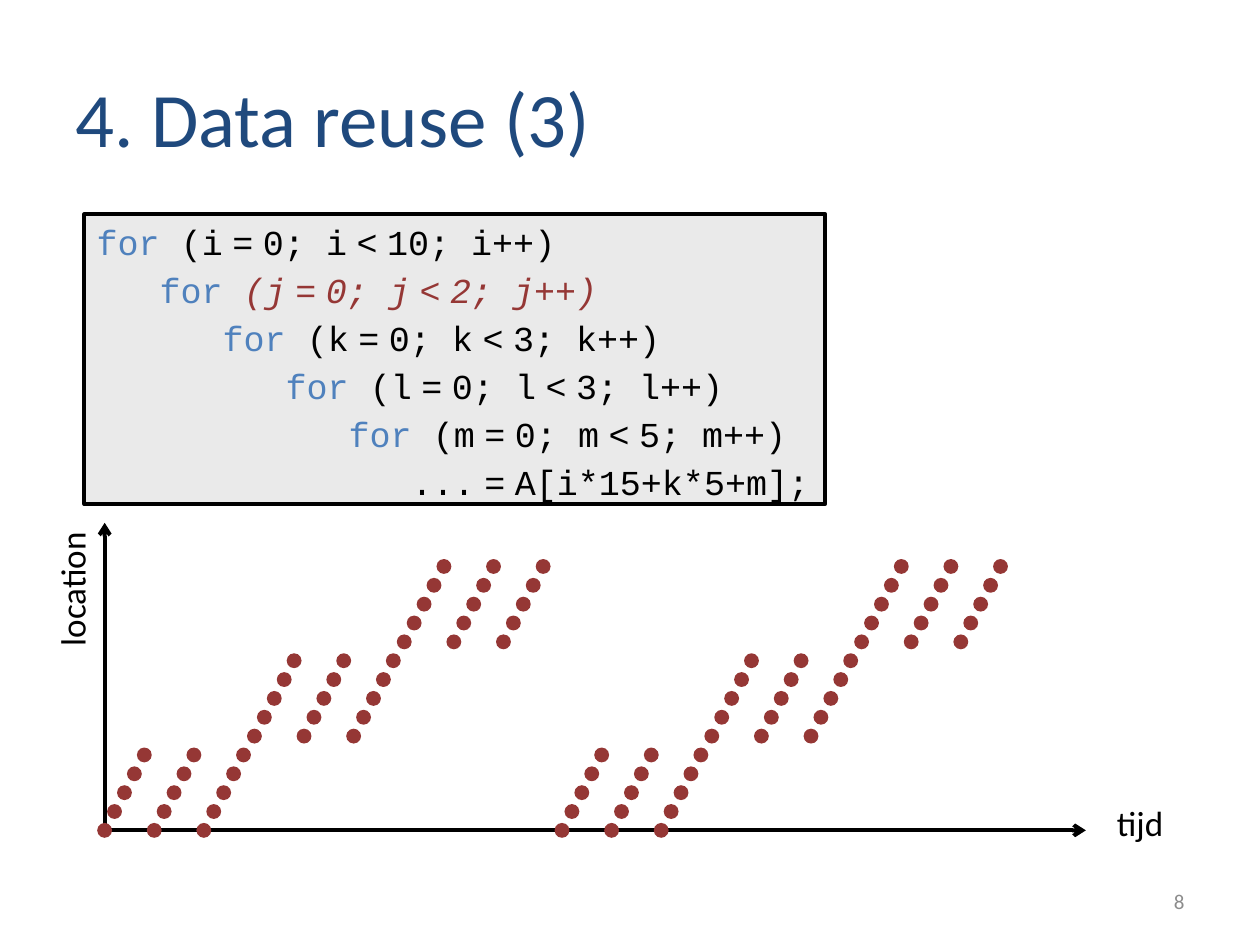
from lxml import etree
from pptx import Presentation
from pptx import util as u
from pptx.dml import color
from pptx.enum import shapes, text
from pptx.oxml import ns

BLACK, RED, BLUE = "000000", "953735", "4F81BD"


def rgb(hex_string):
    return color.RGBColor.from_string(hex_string)


def add_text(paragraph, content, size=20, font="Calibri", colour=BLACK, italic=False):
    run = paragraph.add_run()
    run.text = content
    run.font.size = u.Pt(size)
    run.font.name = font
    run.font.color.rgb = rgb(colour)
    run.font.italic = italic


presentation = Presentation()
presentation.slide_width = u.Cm(25.4)
presentation.slide_height = u.Cm(19.05)
slide = presentation.slides.add_slide(presentation.slide_layouts[6])

# Title, axis labels and slide number
LEFT, RIGHT = text.PP_ALIGN.LEFT, text.PP_ALIGN.RIGHT
TOP, MIDDLE = text.MSO_ANCHOR.TOP, text.MSO_ANCHOR.MIDDLE
labels = [
    ("4. Data reuse (3)", (1.27, 0.76, 22.86, 3.18), LEFT, MIDDLE, 0, 44, "1F497D"),
    ("tijd", (22.2, 16.03, 1.5, 1.1), RIGHT, TOP, 0, 20, BLACK),
    ("location", (0.02, 11.36, 2.85, 1.1), RIGHT, TOP, 270, 20, BLACK),
    ("8", (18.21, 17.65, 5.92, 1.02), RIGHT, MIDDLE, 0, 12, "8C8C8C"),
]
for content, box, alignment, anchor, rotation, size, colour in labels:
    shape = slide.shapes.add_textbox(*map(u.Cm, box))
    shape.rotation = rotation
    shape.text_frame.word_wrap = size == 44
    shape.text_frame.vertical_anchor = anchor
    paragraph = shape.text_frame.paragraphs[0]
    paragraph.alignment = alignment
    add_text(paragraph, content, size=size, colour=colour)

# Axes
origin_x, origin_y = 2.11, 16.74
for end_x, end_y in [(21.89, origin_y), (origin_x, 10.54)]:
    axis = slide.shapes.add_connector(
        shapes.MSO_CONNECTOR.STRAIGHT,
        u.Cm(origin_x), u.Cm(origin_y), u.Cm(end_x), u.Cm(end_y))
    axis.line.color.rgb = rgb(BLACK)
    axis.line.width = u.Pt(2.25)
    etree.SubElement(axis.line._get_or_add_ln(), ns.qn("a:tailEnd"), type="arrow")
    etree.SubElement(axis._element.spPr, ns.qn("a:effectLst"))

# One dot per access: time runs over j, k, l, m; the location is 5k + m
diameter = 0.3
for j in range(2):
    for k in range(3):
        for l in range(3):
            for m in range(5):
                centre_x = origin_x + 9.22 * j + 3.02 * k + 0.2 * (5 * l + m)
                centre_y = origin_y - 0.38 * (5 * k + m)
                dot = slide.shapes.add_shape(
                    shapes.MSO_SHAPE.OVAL,
                    u.Cm(centre_x - diameter / 2), u.Cm(centre_y - diameter / 2),
                    u.Cm(diameter), u.Cm(diameter))
                dot.shadow.inherit = False
                dot.fill.solid()
                dot.fill.fore_color.rgb = rgb(RED)
                dot.line.fill.background()

# Code box
code_box = slide.shapes.add_shape(
    shapes.MSO_SHAPE.RECTANGLE, u.Cm(1.7), u.Cm(4.32), u.Cm(14.94), u.Cm(5.84))
code_box.shadow.inherit = False
code_box.fill.solid()
code_box.fill.fore_color.rgb = rgb("EAEAEA")
code_box.line.color.rgb = rgb(BLACK)
code_box.line.width = u.Pt(2.25)
frame = code_box.text_frame
frame.word_wrap = False
frame.vertical_anchor = TOP

# Each "~" is a narrow space around an operator
code_lines = [
    ("for", " (i~=~0; i~<~10; i++)"),
    ("for ", "(j~=~0; j~<~2; j++)"),
    ("for", " (k~=~0; k~<~3; k++)"),
    ("for", " (l~=~0; l~<~3; l++)"),
    ("for", " (m~=~0; m~<~5; m++)"),
    ("", "...~=~A[i*15+k*5+m];"),
]
for depth, (keyword, rest) in enumerate(code_lines):
    paragraph = frame.paragraphs[0] if depth == 0 else frame.add_paragraph()
    paragraph.alignment = LEFT
    paragraph.space_before = u.Pt(3.4)
    paragraph._p.get_or_add_pPr().set("marL", str(u.Cm(1.27 * depth)))
    if keyword:
        add_text(paragraph, keyword, font="Courier New", colour=BLUE)
    reused = depth == 1
    style = dict(font="Courier New", colour=RED if reused else BLACK, italic=reused)
    for index, piece in enumerate(rest.split("~")):
        if index:
            add_text(paragraph, " ", size=9, **style)
        add_text(paragraph, piece, **style)

presentation.save("out.pptx")
